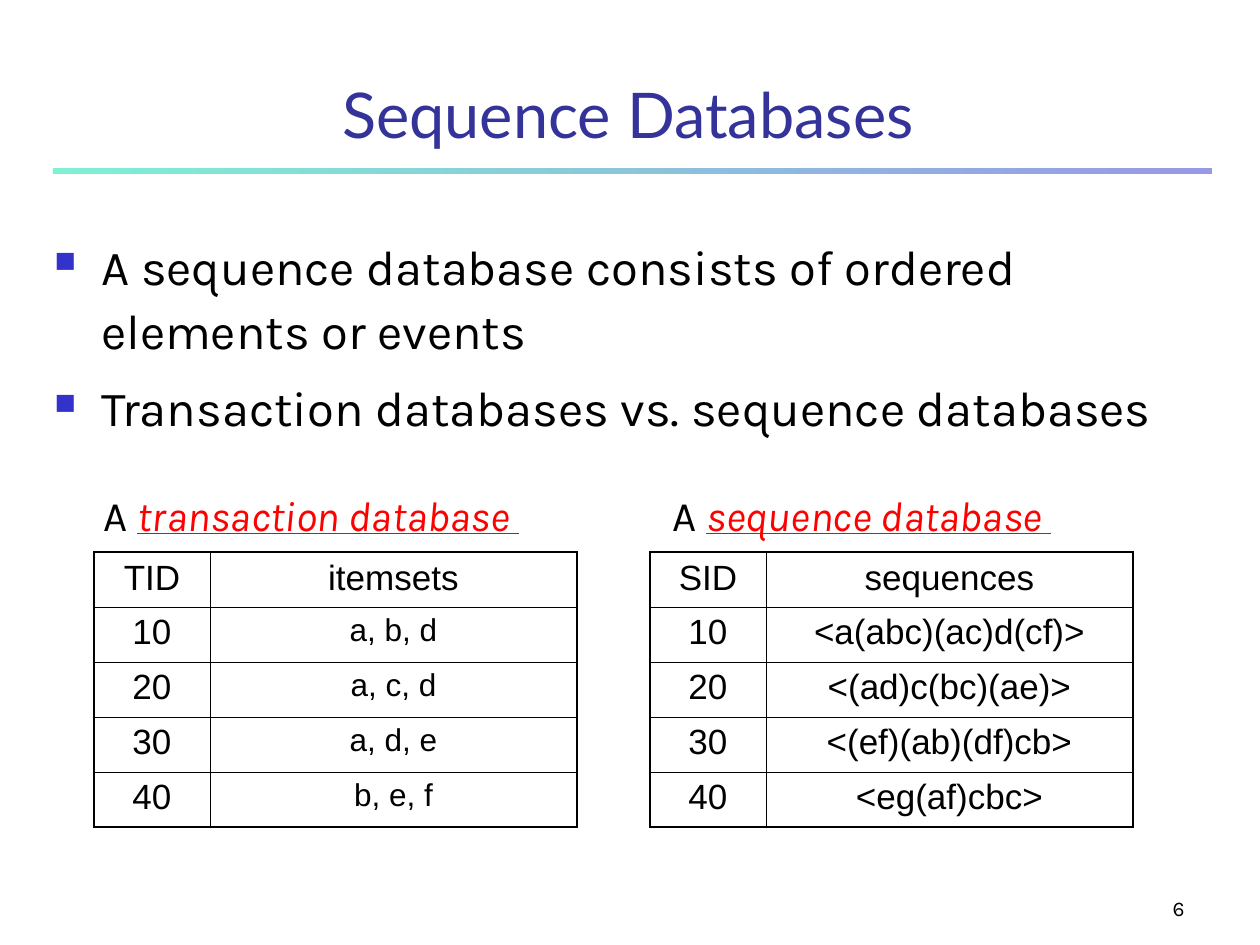
"""Build the slide that compares transaction and sequence databases."""
from dataclasses import dataclass
from typing import Any

import lxml.etree
import pptx
import pptx.dml.color
import pptx.enum.shapes
import pptx.enum.text
import pptx.oxml.ns
import pptx.util

EMU_PER_INCH = 914400
PX_PER_INCH = 126

BLACK = pptx.dml.color.RGBColor(0x00, 0x00, 0x00)
RED = pptx.dml.color.RGBColor(0xFF, 0x00, 0x00)
NAVY = pptx.dml.color.RGBColor(0x33, 0x33, 0x99)
BLUE = pptx.dml.color.RGBColor(0x33, 0x33, 0xCC)
GREEN = pptx.dml.color.RGBColor(0x00, 0xE4, 0xA8)

ANCHOR = pptx.enum.text.MSO_ANCHOR
ALIGN = pptx.enum.text.PP_ALIGN
AUTO_SIZE = pptx.enum.text.MSO_AUTO_SIZE

TITLE_FONT = {"name": "Lato", "size": pptx.util.Pt(36)}
BODY_FONT = {"name": "Karla", "size": pptx.util.Pt(28)}
CAPTION_FONT = {"name": "Karla", "size": pptx.util.Pt(24)}
TERM_FONT = CAPTION_FONT | {"italic": True, "underline": True}
NUMBER_FONT = {"name": "Karla", "size": pptx.util.Pt(12)}
CELL_FONT = {"name": "Arial", "size": pptx.util.Pt(20)}
ITEMSET_FONT = CELL_FONT | {"size": pptx.util.Pt(18)}

CAPTION_TOP, CAPTION_HEIGHT = 483, 63
TABLE_TOP, ROW_HEIGHT = 552, 55
COLUMN_WIDTHS = (116, 367)
THICK, THIN = 1.08, 0.45


@dataclass(frozen=True)
class Box:
    left: int
    top: int
    width: int
    height: int

    def emu(self) -> tuple[int, ...]:
        return tuple(px(value) for value in (self.left, self.top, self.width, self.height))


@dataclass(frozen=True)
class Database:
    term: str
    caption_left: int
    caption_width: int
    table_left: int
    rows: tuple[tuple[str, str], ...]
    value_font: dict[str, Any]


DATABASES = (
    Database("sequence database ", 660, 431, 650, (
        ("SID", "sequences"),
        ("10", "<a(abc)(ac)d(cf)>"),
        ("20", "<(ad)c(bc)(ae)>"),
        ("30", "<(ef)(ab)(df)cb>"),
        ("40", "<eg(af)cbc>"),
    ), CELL_FONT),
    Database("transaction database ", 91, 470, 94, (
        ("TID", "itemsets"),
        ("10", "a, b, d"),
        ("20", "a, c, d"),
        ("30", "a, d, e"),
        ("40", "b, e, f"),
    ), ITEMSET_FONT),
)

BULLETS = (
    "A sequence database consists of ordered elements or events",
    "Transaction databases vs. sequence databases",
)


def px(value: int) -> int:
    return round(value * EMU_PER_INCH / PX_PER_INCH)


def apply(target: Any, values: dict[str, Any]) -> None:
    for name, value in values.items():
        setattr(target, name, value)


def add_element(parent: Any, tag: str, **attributes: str) -> Any:
    return lxml.etree.SubElement(parent, pptx.oxml.ns.qn(tag), attributes)


def add_run(paragraph: Any, text: str, font: dict[str, Any], color: Any = BLACK) -> None:
    run = paragraph.add_run()
    run.text = text
    apply(run.font, font)
    run.font.color.rgb = color


def add_text_frame(slide: Any, box: Box, **values: Any) -> Any:
    frame = slide.shapes.add_textbox(*box.emu()).text_frame
    apply(frame, {"word_wrap": True} | values)
    return frame


def add_line_of_text(slide: Any, box: Box, text: str, font: dict[str, Any],
                     color: Any, alignment: Any) -> None:
    frame = add_text_frame(slide, box, vertical_anchor=ANCHOR.BOTTOM)
    frame.paragraphs[0].alignment = alignment
    add_run(frame.paragraphs[0], text, font, color)


def add_rule(slide: Any, box: Box) -> None:
    shape = slide.shapes.add_shape(pptx.enum.shapes.MSO_SHAPE.RECTANGLE, *box.emu())
    shape.shadow.inherit = False
    shape.line.fill.background()
    shape.fill.gradient()
    shape.fill.gradient_angle = 0
    for stop, position, color in zip(shape.fill.gradient_stops, (0, 1), (GREEN, BLUE)):
        stop.position = position
        stop.color.rgb = color
    for color_element in shape.element.spPr.iter(pptx.oxml.ns.qn("a:srgbClr")):
        add_element(color_element, "a:alpha", val="50000")


def add_bullets(slide: Any, box: Box) -> None:
    frame = add_text_frame(slide, box)
    for index, text in enumerate(BULLETS):
        paragraph = frame.add_paragraph() if index else frame.paragraphs[0]
        properties = paragraph._p.get_or_add_pPr()
        properties.set("marL", str(px(47)))
        properties.set("indent", str(-px(47)))
        add_element(add_element(properties, "a:buClr"), "a:srgbClr", val=str(BLUE))
        add_element(properties, "a:buSzPct", val="60000")
        add_element(properties, "a:buChar", char="■")
        paragraph.line_spacing = 1.1
        if index:
            paragraph.space_before = pptx.util.Pt(7)
        add_run(paragraph, text, BODY_FONT)


def set_borders(cell: Any, widths: dict[str, float]) -> None:
    properties = cell._tc.get_or_add_tcPr()
    for tag, width in widths.items():
        line = add_element(properties, tag, w=str(pptx.util.Pt(width)))
        add_element(add_element(line, "a:solidFill"), "a:srgbClr", val=str(BLACK))


def add_database(slide: Any, database: Database) -> None:
    caption_box = Box(database.caption_left, CAPTION_TOP, database.caption_width, CAPTION_HEIGHT)
    caption = add_text_frame(slide, caption_box, word_wrap=False,
                             auto_size=AUTO_SIZE.SHAPE_TO_FIT_TEXT).paragraphs[0]
    add_run(caption, "A ", CAPTION_FONT)
    add_run(caption, database.term, TERM_FONT, RED)

    last_row, last_column = len(database.rows) - 1, len(COLUMN_WIDTHS) - 1
    table_box = Box(database.table_left, TABLE_TOP, sum(COLUMN_WIDTHS),
                    ROW_HEIGHT * len(database.rows))
    table = slide.shapes.add_table(last_row + 1, last_column + 1, *table_box.emu()).table
    apply(table, {"first_row": False, "horz_banding": False})
    for column, width in zip(table.columns, COLUMN_WIDTHS):
        column.width = px(width)
    for row_index, texts in enumerate(database.rows):
        table.rows[row_index].height = px(ROW_HEIGHT)
        for column_index, text in enumerate(texts):
            cell = table.cell(row_index, column_index)
            set_borders(cell, {
                "a:lnL": THIN if column_index else THICK,
                "a:lnR": THICK if column_index == last_column else THIN,
                "a:lnT": THIN if row_index else THICK,
                "a:lnB": THICK if row_index == last_row else THIN,
            })
            cell.fill.background()
            paragraph = cell.text_frame.paragraphs[0]
            paragraph.alignment = ALIGN.CENTER
            add_run(paragraph, text, database.value_font if row_index and column_index else CELL_FONT)


def main() -> None:
    presentation = pptx.Presentation()
    presentation.slide_width = px(1260)
    presentation.slide_height = px(945)
    slide = presentation.slides.add_slide(presentation.slide_layouts[6])
    add_rule(slide, Box(53, 168, 1159, 6))
    add_line_of_text(slide, Box(903, 861, 294, 66), "6", NUMBER_FONT, BLACK, ALIGN.RIGHT)
    add_line_of_text(slide, Box(63, 0, 1130, 157), "Sequence Databases", TITLE_FONT, NAVY, ALIGN.CENTER)
    add_bullets(slide, Box(42, 224, 1197, 615))
    for database in DATABASES:
        add_database(slide, database)
    presentation.save("out.pptx")


if __name__ == "__main__":
    main()
